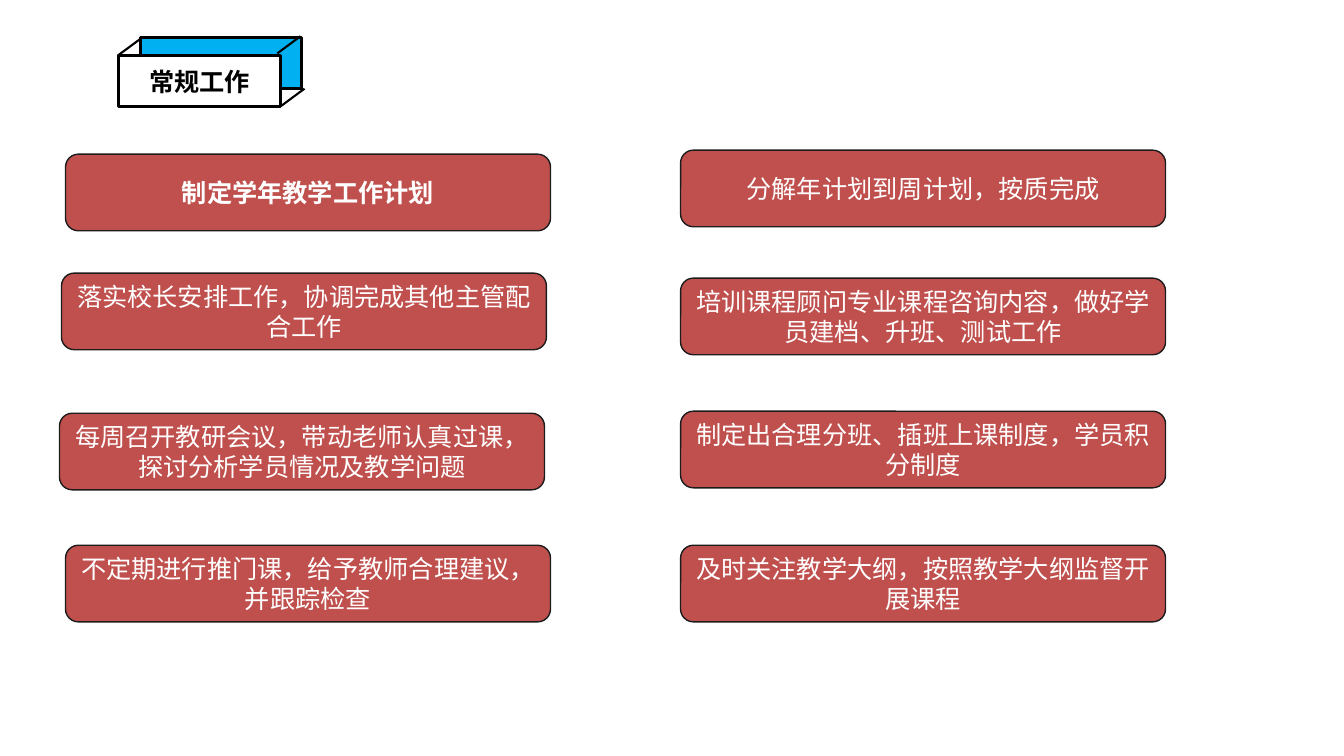
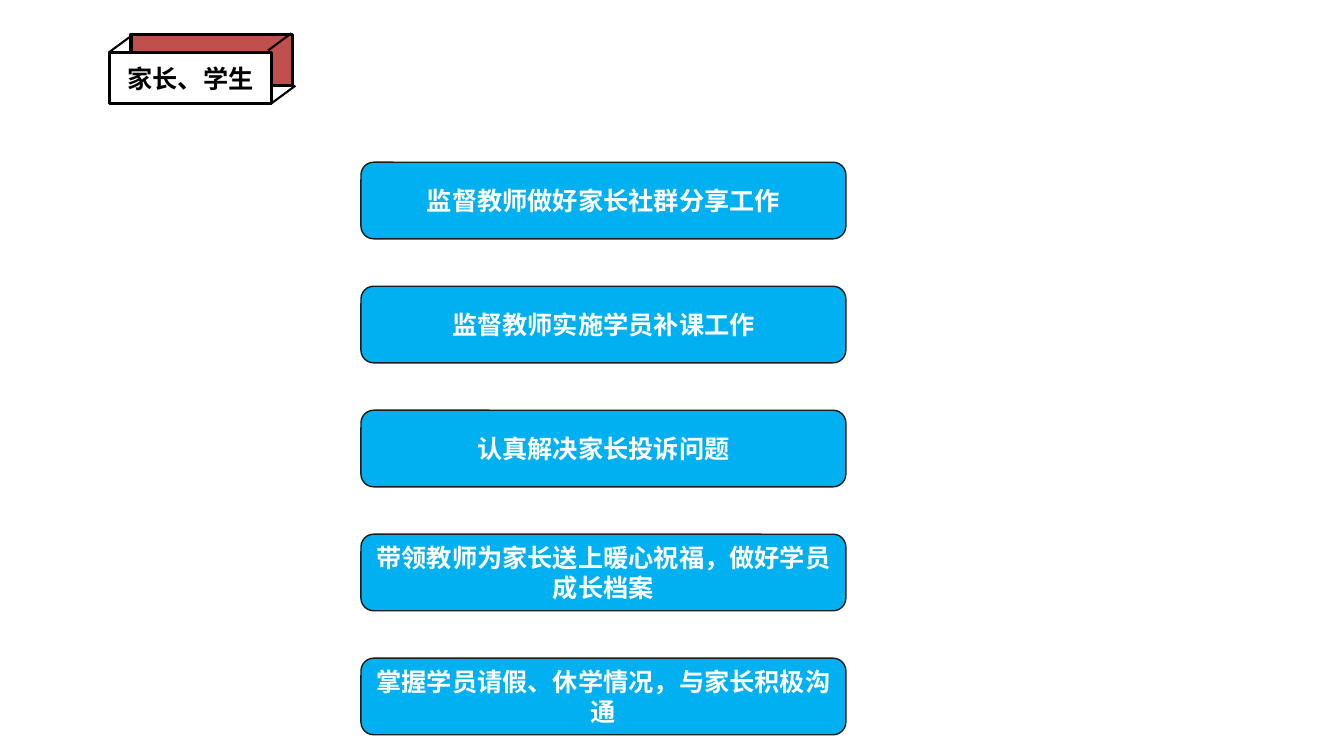
from pptx import Presentation
from pptx.dml.color import RGBColor
from pptx.enum.shapes import MSO_CONNECTOR, MSO_SHAPE
from pptx.enum.text import MSO_ANCHOR, PP_ALIGN
from pptx.oxml.ns import qn
from pptx.util import Pt
from lxml.etree import SubElement

PX = 9144
RED = RGBColor(0xC0, 0x50, 0x4D)
BLUE = RGBColor(0x00, 0xB0, 0xF0)
WHITE = RGBColor(0xFF, 0xFF, 0xFF)
BLACK = RGBColor(0x00, 0x00, 0x00)
CHARCOAL = RGBColor(0x1C, 0x1C, 0x1C)
HEADING_FONT = "Noto Sans CJK SC"
BODY_FONT = "Calibri"

CARD_SIZE = (481, 76)
TAG_SIZE = (160, 51)
TAG_BACK_OFFSET = (21, -18)
TAG_EDGES = [(22, -17), (180, -19), (184, 33)]
EDGE_RUN = (-23, 17)

LEFT_TASKS = [
    (65, 153, "制定学年教学工作计划", True),
    (61, 271, "落实校长安排工作，协调完成其他主管配合工作", False),
    (59, 410, "每周召开教研会议，带动老师认真过课，探讨分析学员情况及教学问题", False),
    (65, 541, "不定期进行推门课，给予教师合理建议，并跟踪检查", False),
]
RIGHT_TASKS = [
    (675, 149, "分解年计划到周计划，按质完成", False),
    (675, 276, "培训课程顾问专业课程咨询内容，做好学员建档、升班、测试工作", False),
    (675, 408, "制定出合理分班、插班上课制度，学员积分制度", False),
    (675, 541, "及时关注教学大纲，按照教学大纲监督开展课程", False),
]
FAMILY_TASKS = [
    "监督教师做好家长社群分享工作",
    "监督教师实施学员补课工作",
    "认真解决家长投诉问题",
    "带领教师为家长送上暖心祝福，做好学员成长档案",
    "掌握学员请假、休学情况，与家长积极沟通",
]
FAMILY_LEFT, FAMILY_TOP, FAMILY_STEP = 358, 161, 123

SLIDES = [
    {"title": "常规工作", "tag": (118, 55), "tag_fill": BLUE,
     "card_fill": RED, "cards": LEFT_TASKS + RIGHT_TASKS},
    {"title": "家长、学生", "tag": (109, 52), "tag_fill": RED, "card_fill": BLUE,
     "cards": [(FAMILY_LEFT, FAMILY_TOP + row * FAMILY_STEP, task, True)
               for row, task in enumerate(FAMILY_TASKS)]},
]


def write(box, text, *, color, bold=True, size=18):
    frame = box.text_frame
    frame.word_wrap = True
    frame.vertical_anchor = MSO_ANCHOR.MIDDLE
    paragraph = frame.paragraphs[0]
    paragraph.alignment = PP_ALIGN.CENTER
    run = paragraph.add_run()
    run.text = text
    font = run.font
    font.name = HEADING_FONT if bold else BODY_FONT
    font.size = Pt(size)
    font.bold = bold
    font.color.rgb = color
    SubElement(font._element, qn("a:ea")).set("typeface", font.name)


def add_box(slide, kind, origin, size, fill, line, weight):
    box = slide.shapes.add_shape(kind, *(value * PX for value in (*origin, *size)))
    box.shadow.inherit = False
    box.fill.solid()
    box.fill.fore_color.rgb = fill
    box.line.color.rgb = line
    box.line.width = Pt(weight)
    return box


def add_edge(slide, x, y):
    run_x, run_y = EDGE_RUN
    edge = slide.shapes.add_connector(
        MSO_CONNECTOR.STRAIGHT,
        *(value * PX for value in (x, y, x + run_x, y + run_y)))
    edge.line.color.rgb = BLACK
    edge.line.width = Pt(1.5)
    SubElement(edge._element.spPr, qn("a:effectLst"))


def add_title_tag(slide, title, origin, fill):
    x, y = origin
    back_x, back_y = TAG_BACK_OFFSET
    add_box(slide, MSO_SHAPE.RECTANGLE, (x + back_x, y + back_y), TAG_SIZE,
            fill, BLACK, 2.25)
    front = add_box(slide, MSO_SHAPE.RECTANGLE, origin, TAG_SIZE, WHITE, BLACK, 2.25)
    write(front, title, color=BLACK)
    for edge_x, edge_y in TAG_EDGES:
        add_edge(slide, x + edge_x, y + edge_y)


def main():
    deck = Presentation()
    deck.slide_width, deck.slide_height = 1333 * PX, 750 * PX
    for content in SLIDES:
        slide = deck.slides.add_slide(deck.slide_layouts[6])
        add_title_tag(slide, content["title"], content["tag"], content["tag_fill"])
        for x, y, task, bold in content["cards"]:
            card = add_box(slide, MSO_SHAPE.ROUNDED_RECTANGLE, (x, y), CARD_SIZE,
                           content["card_fill"], CHARCOAL, 1)
            write(card, task, color=WHITE, bold=bold)
    deck.save("out.pptx")


if __name__ == "__main__":
    main()
